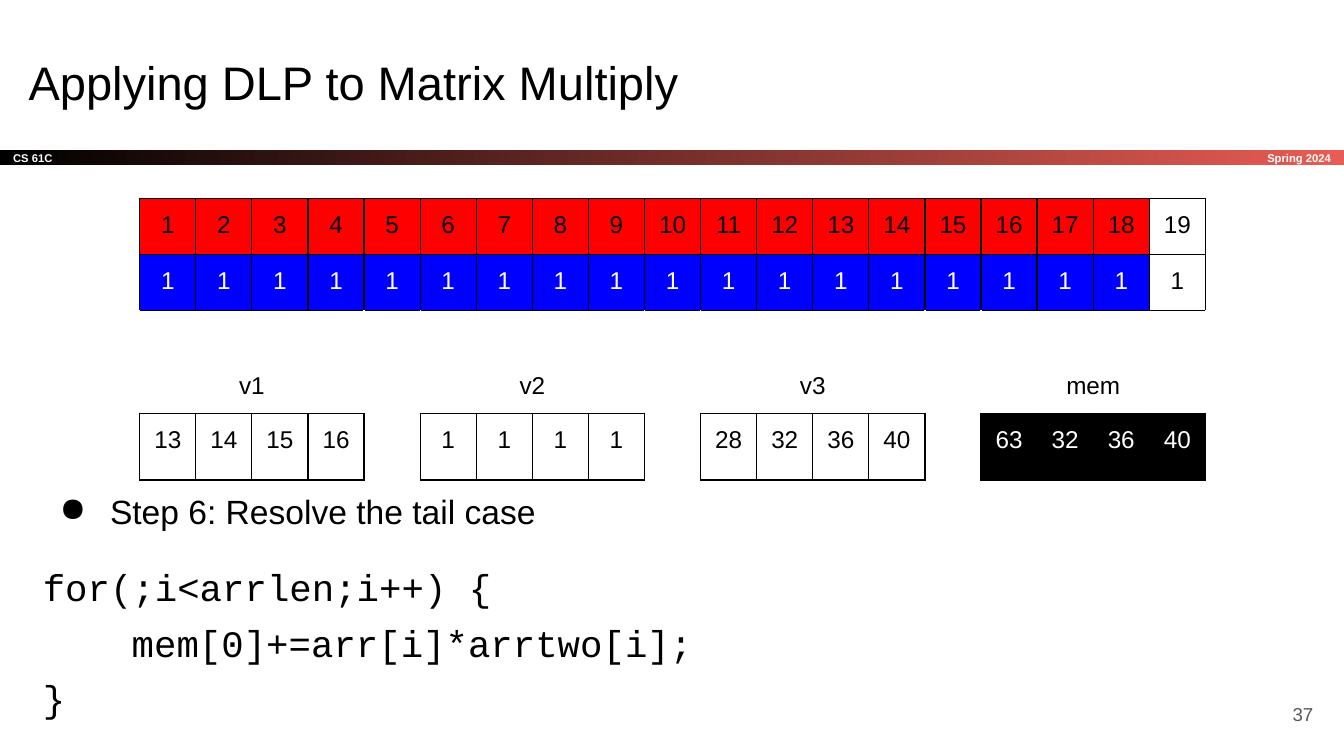
from dataclasses import dataclass

from lxml.etree import SubElement
from pptx import Presentation
from pptx.dml.color import RGBColor as Rgb
from pptx.enum.shapes import MSO_SHAPE as Shape
from pptx.enum.text import MSO_ANCHOR as Anchor, PP_ALIGN as Align
from pptx.oxml.ns import qn
from pptx.util import Cm, Pt

# Content
TITLE = "Applying DLP to Matrix Multiply"
COURSE, TERM, PAGE = "CS 61C", "Spring 2024", "37"
STEP = "Step 6: Resolve the tail case"
CODE = [(0, "for(;i<arrlen;i++) {"), (4, "mem[0]+=arr[i]*arrtwo[i];"), (0, "}")]
ARR = list(range(1, 20))
ARRTWO = [1] * 19
VECTORS = [
    ("v1", [13, 14, 15, 16]),
    ("v2", [1, 1, 1, 1]),
    ("v3", [28, 32, 36, 40]),
    ("mem", [63, 32, 36, 40]),
]
LANES = 4
DONE = 18  # elements already processed


@dataclass(frozen=True)
class Theme:
    sans: str = "Arial"
    mono: str = "Courier New"
    black: str = "000000"
    white: str = "FFFFFF"
    red: str = "FF0000"
    blue: str = "0000FF"
    coral: str = "E85C54"
    grey: str = "595959"
    title: float = 25.2
    code: float = 20
    step: float = 18
    cell: float = 13
    page: float = 10
    band: float = 6
    border: float = 0.75


theme = Theme()
INSET = Cm(0.25)
MARGINS = {f"margin_{side}": INSET for side in ("left", "top", "right", "bottom")}


def apply(target, values):
    for name, value in values.items():
        setattr(target, name, value)


def write(paragraph, text, size, color=theme.black, font=theme.sans, bold=False, **layout):
    run = paragraph.add_run()
    run.text = text
    apply(run.font, {"name": font, "size": Pt(size), "bold": bold})
    run.font.color.rgb = Rgb.from_string(color)
    apply(paragraph, layout)


def indent(paragraph, left, first=0):
    properties = paragraph._p.get_or_add_pPr()
    properties.set("marL", str(Cm(left)))
    properties.set("indent", str(Cm(first)))
    return properties


def frame_of(shape, anchor=Anchor.TOP):
    apply(shape.text_frame, {"word_wrap": True, "vertical_anchor": anchor, **MARGINS})
    return shape.text_frame


def text_box(left, top, width, height, anchor=Anchor.TOP):
    return frame_of(slide.shapes.add_textbox(Cm(left), Cm(top), Cm(width), Cm(height)), anchor)


def fill_cell(row, column, text="", fill=theme.white, color=theme.black,
              anchor=Anchor.TOP, white_sides=""):
    cell = grid.cell(row, column)
    apply(cell, {"vertical_anchor": anchor, **MARGINS})
    properties = cell._tc.get_or_add_tcPr()
    for side in "LRTB":
        line = SubElement(properties, qn(f"a:ln{side}"), w=str(Pt(theme.border)))
        paint = SubElement(line, qn("a:solidFill"))
        shade = theme.white if side in white_sides else theme.black
        SubElement(paint, qn("a:srgbClr"), val=shade)
    cell.fill.solid()
    cell.fill.fore_color.rgb = Rgb.from_string(fill)
    if text:
        write(cell.text_frame.paragraphs[0], text, theme.cell, color, alignment=Align.CENTER)


deck = Presentation()
apply(deck, {"slide_width": Cm(25.4), "slide_height": Cm(14.29)})
slide = deck.slides.add_slide(deck.slide_layouts[6])

# Course band
band = slide.shapes.add_shape(Shape.RECTANGLE, 0, Cm(2.83), Cm(25.4), Cm(0.3))
band.shadow.inherit = False
band.line.fill.background()
band.fill.gradient()
band.fill.gradient_angle = 0
for stop, position, color in zip(band.fill.gradient_stops, (0, 1), (theme.black, theme.coral)):
    stop.position = position
    stop.color.rgb = Rgb.from_string(color)
write(frame_of(band, Anchor.MIDDLE).paragraphs[0], COURSE, theme.band, theme.white,
      bold=True, alignment=Align.LEFT)
write(text_box(21.18, 2.83, 4.22, 0.3, Anchor.MIDDLE).paragraphs[0], TERM, theme.band,
      theme.white, bold=True, alignment=Align.RIGHT)

# Title
write(text_box(0.29, 0.76, 23.67, 1.6).paragraphs[0], TITLE, theme.title)

# Step and code
body = text_box(0.56, 8.92, 23.67, 5)
step = body.paragraphs[0]
write(step, STEP, theme.step, line_spacing=1.15)
bulleted = indent(step, 1.27, -0.95)
SubElement(SubElement(bulleted, qn("a:buClr")), qn("a:srgbClr"), val=theme.black)
SubElement(bulleted, qn("a:buChar"), char="●")
for number, (spaces, text) in enumerate(CODE):
    line = body.add_paragraph()
    write(line, text, theme.code, font=theme.mono, line_spacing=1.24,
          space_before=Pt(0 if number else 12))
    indent(line, spaces * 0.42)

# Arrays and vector registers
SIDE = 1.06
ROWS = [SIDE, SIDE, 1.94, 1.24]
table = slide.shapes.add_table(len(ROWS), len(ARR), Cm(2.64), Cm(3.75),
                               Cm(SIDE * len(ARR)), Cm(sum(ROWS)))
grid = table.table
apply(grid, {"first_row": False, "horz_banding": False})
for column in grid.columns:
    column.width = Cm(SIDE)
for row, height in zip(grid.rows, ROWS):
    row.height = Cm(height)

arrays = [(ARR, theme.red, theme.black), (ARRTWO, theme.blue, theme.white)]
for row, (values, fill, color) in enumerate(arrays):
    for column, value in enumerate(values):
        shades = (fill, color) if column < DONE else (theme.white, theme.black)
        fill_cell(row, column, str(value), *shades)

for block, (label, values) in enumerate(VECTORS):
    start = block * (LANES + 1)
    shades = (theme.black, theme.white) if label == "mem" else (theme.white, theme.black)
    for lane, value in enumerate(values):
        fill_cell(2, start + lane, "" if lane else label, anchor=Anchor.BOTTOM, white_sides="LR")
        fill_cell(3, start + lane, str(value), *shades)
    grid.cell(2, start).merge(grid.cell(2, start + LANES - 1))
    gap = start + LANES
    if gap < len(ARR):
        fill_cell(2, gap, white_sides="LRB")
        fill_cell(3, gap, white_sides="TB")

# Page number
write(text_box(23.55, 12.95, 1.52, 1.09, Anchor.MIDDLE).paragraphs[0], PAGE, theme.page,
      theme.grey, alignment=Align.RIGHT)

deck.save("out.pptx")
